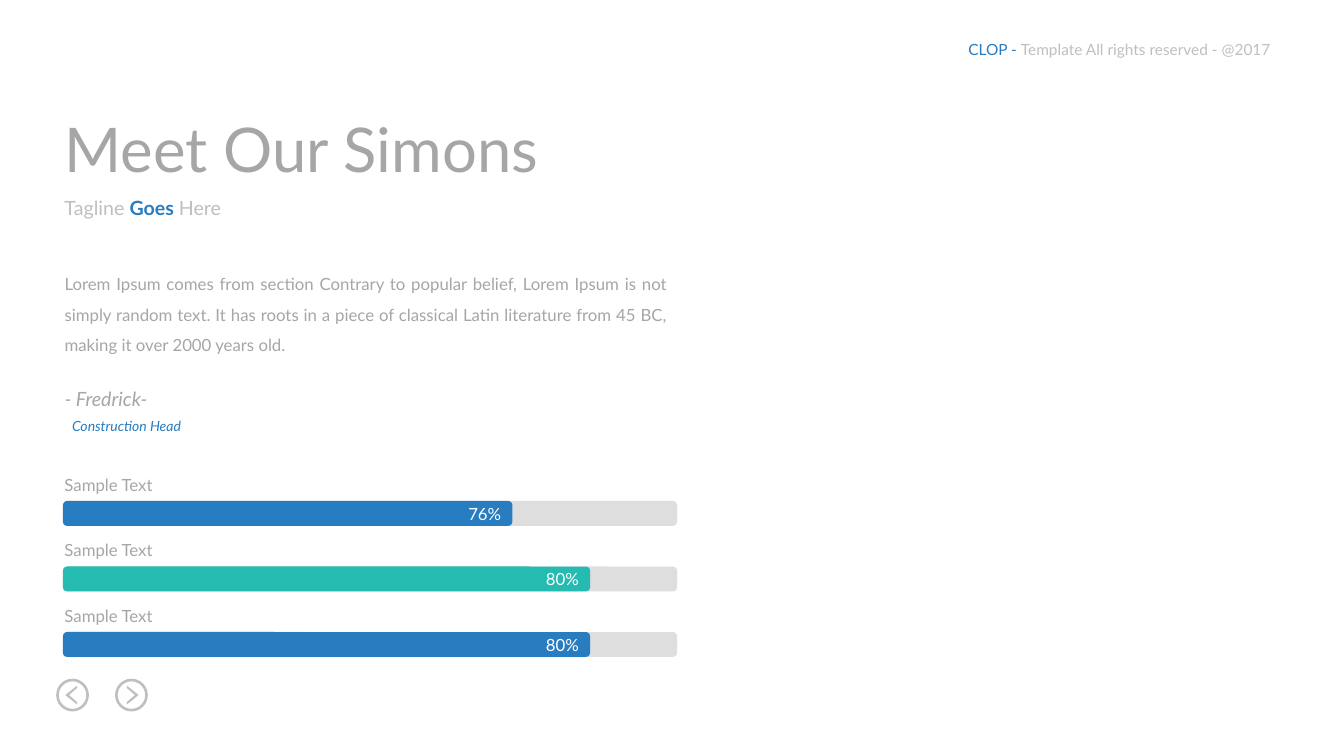
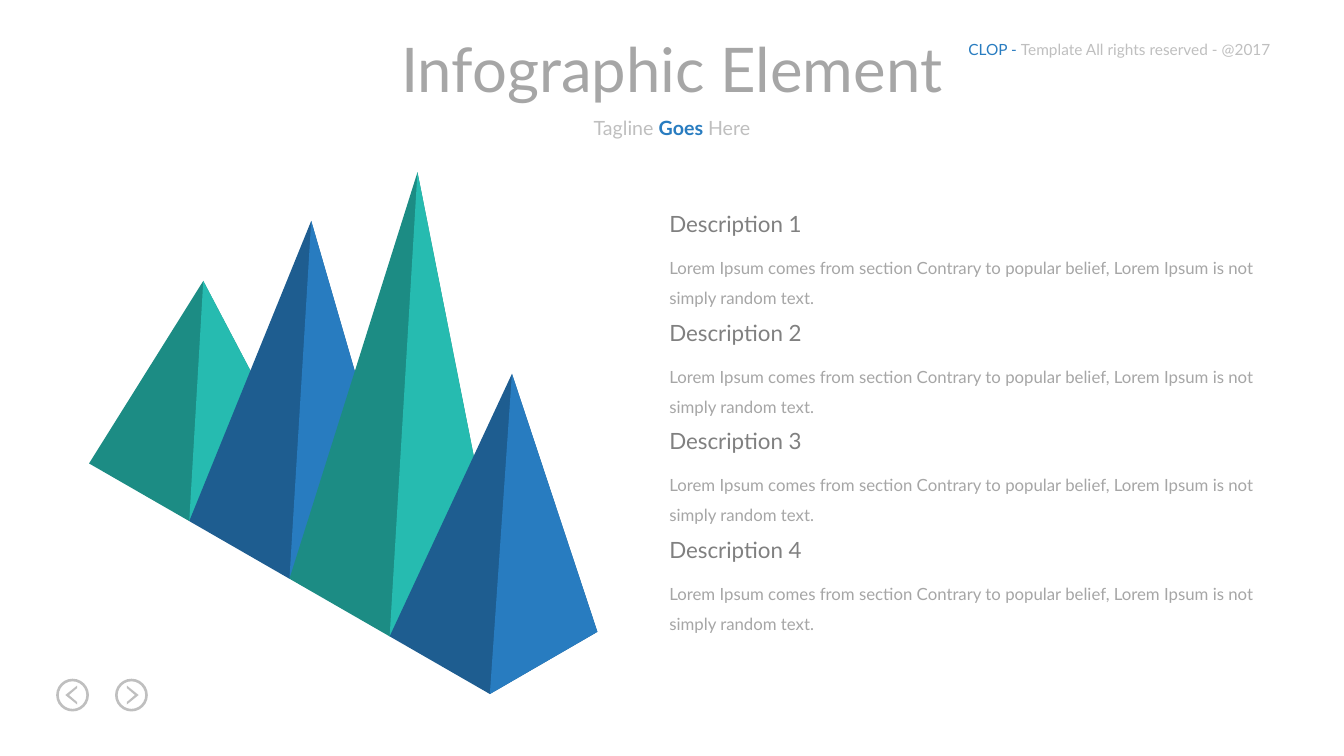
from pptx import Presentation
from pptx.dml.color import RGBColor
from pptx.enum.shapes import MSO_SHAPE as Preset
from pptx.enum.text import MSO_ANCHOR as Anchor, MSO_AUTO_SIZE as AutoSize, PP_ALIGN as Align
from pptx.oxml.ns import qn
from pptx.oxml.xmlchemy import OxmlElement
from pptx.util import Inches, Pt

FONT = "Lato"
WHITE, SILVER, GREY, DARK_GREY = "FFFFFF", "BFBFBF", "A6A6A6", "808080"
BLUE, DEEP_BLUE, TEAL, DEEP_TEAL = "287CC0", "1E5D90", "26BBB0", "1C8C84"

# Square grid of 160 columns by 90 rows
COLUMNS, ROWS = 160, 90
CELL = Inches(1) // 12
MARGIN = 6.5


def rgb(value):
    return RGBColor.from_string(value)


def cells(*lengths):
    return [round(length * CELL) for length in lengths]


class Board:
    """Holds the style and the current slide."""

    def __init__(self):
        self.deck = Presentation()
        self.deck.slide_width, self.deck.slide_height = cells(COLUMNS, ROWS)
        self.page = None

    def new_page(self):
        self.page = self.deck.slides.add_slide(self.deck.slide_layouts[6])
        self.text([("CLOP - ", BLUE, False),
                   ("Template All rights reserved - @2017", SILVER, False)],
                  114.1, 4.2, 39.1, 3.5, 11)
        self.arrow_button(8.64, -1)
        self.arrow_button(15.65, 1)

    def paint(self, shape, color, alpha=None):
        shape.shadow.inherit = False
        shape.fill.solid()
        shape.fill.fore_color.rgb = rgb(color)
        shape.line.fill.background()
        if alpha is not None:
            opacity = OxmlElement("a:alpha")
            opacity.set("val", str(alpha * 1000))
            shape.element.spPr.find(".//" + qn("a:srgbClr")).append(opacity)
        return shape

    def shape(self, preset, col, row, width, height, color, alpha=None):
        shape = self.page.shapes.add_shape(preset, *cells(col, row, width, height))
        return self.paint(shape, color, alpha)

    def polygon(self, points, color):
        corners = [cells(*point) for point in points]
        builder = self.page.shapes.build_freeform(*corners[0])
        builder.add_line_segments(corners[1:], close=True)
        return self.paint(builder.convert_to_shape(), color)

    def fill_para(self, para, content, size, color=None, italic=False):
        """Content is a string, or a list of (text, color, bold)."""
        para.font.name, para.font.size = FONT, Pt(size)
        para.font.italic = italic
        if isinstance(content, str):
            para.font.color.rgb = rgb(color)
            para.add_run().text = content
            return
        for words, span_color, bold in content:
            span = para.add_run()
            span.text = words
            span.font.color.rgb = rgb(span_color)
            span.font.bold = bold

    def text(self, content, col, row, width, height, size, color=None,
             align=Align.LEFT, italic=False, wrap=False, spacing=None):
        box = self.page.shapes.add_textbox(*cells(col, row, width, height))
        frame = box.text_frame
        frame.word_wrap = wrap
        frame.auto_size = AutoSize.SHAPE_TO_FIT_TEXT
        para = frame.paragraphs[0]
        para.alignment = align
        if spacing:
            para.line_spacing = spacing
        self.fill_para(para, content, size, color, italic)

    def heading(self, title, row, width, centred=False):
        align = Align.CENTER if centred else Align.LEFT
        tagline = [("Tagline ", SILVER, False), ("Goes ", BLUE, True), ("Here", SILVER, False)]
        for content, top, wide, high, size in ((title, row, width, 10.1, 44),
                                               (tagline, row + 10.1, 21.6, 4, 14)):
            col = (COLUMNS - wide) / 2 if centred else MARGIN
            self.text(content, col, top, wide, high, size, GREY, align)

    def arrow_button(self, centre, direction):
        middle, size = 82.75, 3.9
        ring = self.shape(Preset.DONUT, centre - size / 2, middle - size / 2, size, size, SILVER)
        ring.adjustments[0] = 0.08
        chevron = [(-0.55, -0.84), (0.42, 0), (-0.55, 0.84),
                   (-0.55, 1.13), (0.86, 0), (-0.55, -1.13)]
        self.polygon([(centre + direction * x, middle + y) for x, y in chevron], SILVER)

    def progress_bar(self, label, value, row, filled, color):
        left, full, height = 7.5, 73.1, 2.96
        self.text(label, MARGIN, row - 3.72, 13.4, 3.6, 12, GREY)
        self.shape(Preset.ROUNDED_RECTANGLE, left, row, full, height, SILVER, 50)
        bar = self.shape(Preset.ROUNDED_RECTANGLE, left, row, filled, height, color)
        frame = bar.text_frame
        frame.margin_top = frame.margin_bottom = 0
        frame.vertical_anchor = Anchor.MIDDLE
        para = frame.paragraphs[0]
        para.alignment = Align.RIGHT
        self.fill_para(para, value, 12, WHITE)

    def pyramid(self, index, apex, dark, light):
        step_x, step_y = 11.93, 6.86
        left = (10.6 + index * step_x, 55.18 + index * step_y)
        front = (left[0] + step_x, left[1] + step_y)
        right = (front[0] + 12.8, front[1] - 7.4)
        self.polygon([left, apex, right, front], dark)
        self.polygon([apex, front, right], light)


def profile_page(board):
    board.new_page()
    board.heading("Meet Our Simons", 12.6, 59.3)
    board.text("Lorem Ipsum comes from section Contrary to popular belief, Lorem Ipsum is not "
               "simply random text. It has roots in a piece of classical Latin literature from "
               "45 BC, making it over 2000 years old.",
               MARGIN, 30.85, 74.15, 11.6, 12, GREY, Align.JUSTIFY, wrap=True, spacing=1.5)
    # Signature
    board.text("- Fredrick-", MARGIN, 45.45, 12.6, 4, 14, GREY, italic=True)
    board.text("Construction Head", 7.4, 49.1, 15.6, 3.2, 10, BLUE, italic=True)
    # Progress bars
    bars = [("76%", 53.5, BLUE), ("80%", 62.75, TEAL), ("80%", 62.75, BLUE)]
    for index, (value, filled, color) in enumerate(bars):
        board.progress_bar("Sample Text", value, 59.64 + 7.8 * index, filled, color)


def infographic_page(board):
    board.new_page()
    board.heading("Infographic Element", 3.1, 68.4, centred=True)
    # Pyramids, from the back to the front
    apexes = [(24.2, 33.45), (37.05, 26.3), (49.7, 20.5), (60.95, 44.5)]
    shades = [(DEEP_TEAL, TEAL), (DEEP_BLUE, BLUE)]
    for index, apex in enumerate(apexes):
        board.pyramid(index, apex, *shades[index % 2])
    # Descriptions
    for index in range(4):
        row = 24.45 + 12.92 * index
        board.text(f"Description {index + 1}", 78.5, row, 18.4, 4.4, 16, DARK_GREY)
        board.text("Lorem Ipsum comes from section Contrary to popular belief, "
                   "Lorem Ipsum is not simply random text.",
                   78.5, row + 4.44, 74.3, 8.5, 12, GREY, wrap=True, spacing=1.5)


def main():
    board = Board()
    profile_page(board)
    infographic_page(board)
    board.deck.save("out.pptx")


if __name__ == "__main__":
    main()
